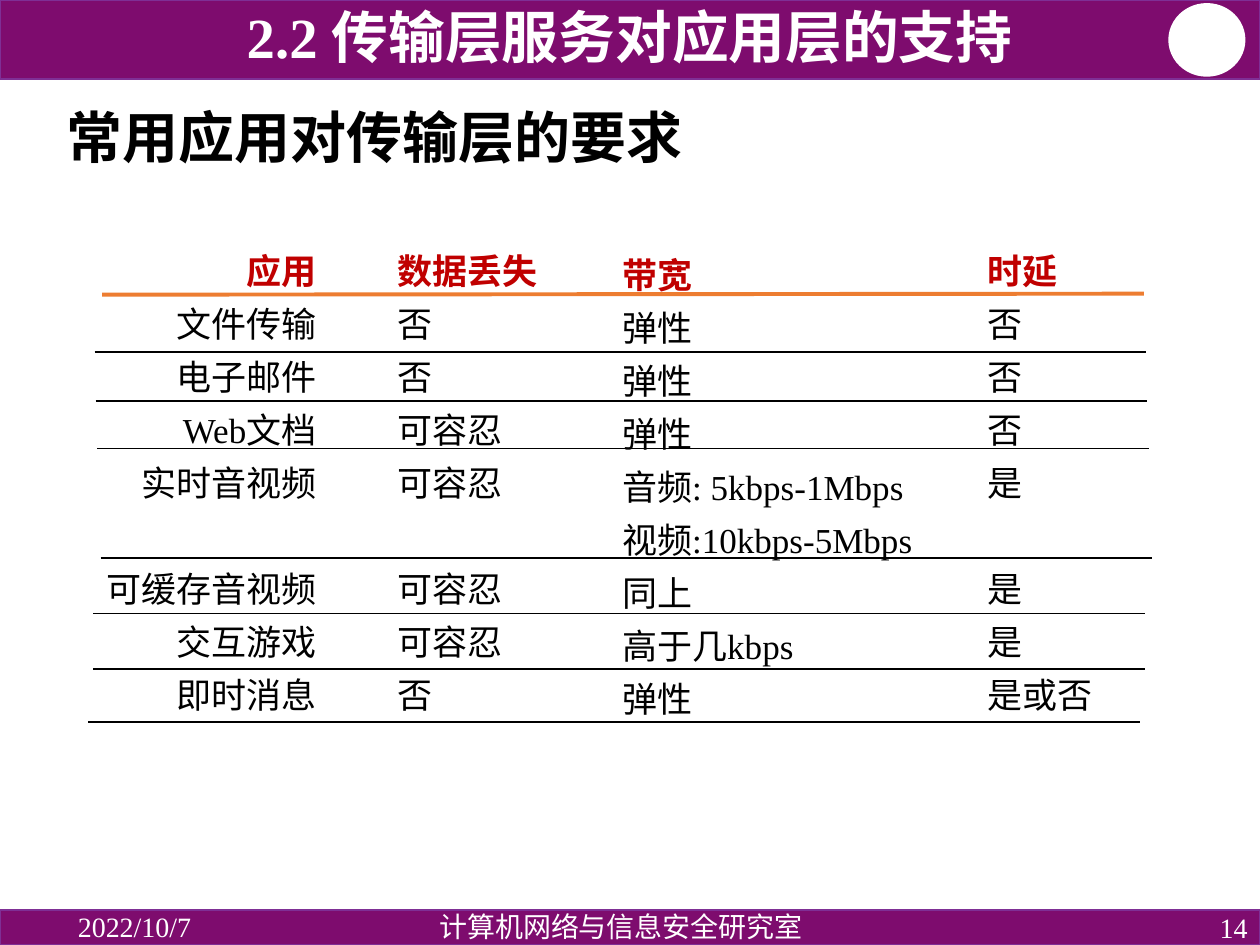
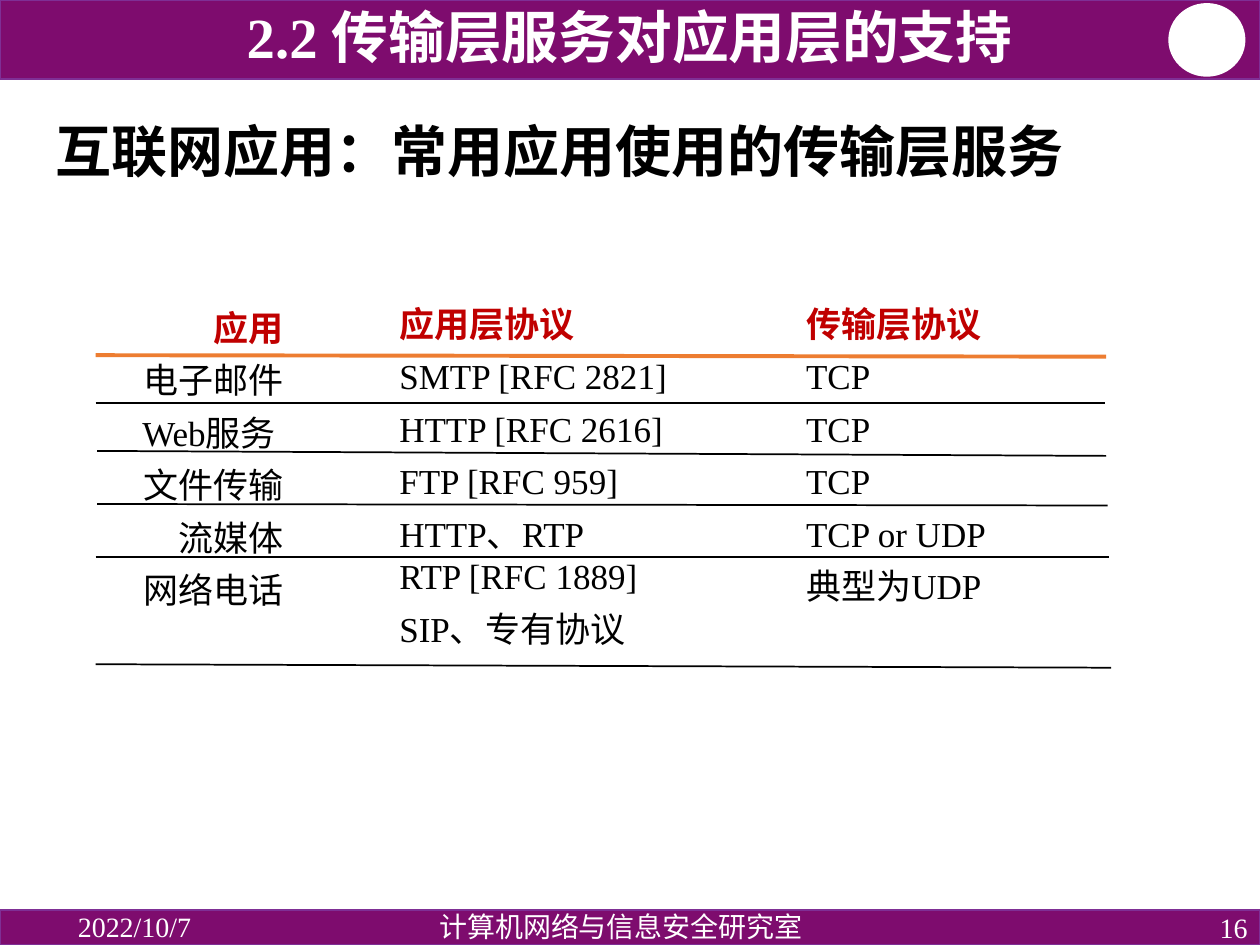
"""Build two slides on what applications ask of the transport layer."""
import dataclasses

import pptx
import pptx.dml.color
import pptx.enum.shapes
import pptx.enum.text
import pptx.oxml
import pptx.util

Cm = pptx.util.Cm
Pt = pptx.util.Pt
Align = pptx.enum.text.PP_ALIGN
Anchor = pptx.enum.text.MSO_ANCHOR
Shape = pptx.enum.shapes.MSO_SHAPE


@dataclasses.dataclass(frozen=True)
class Theme:
    """Hold the colours, fonts and type sizes of the deck."""
    band: str = "7E0C6E"
    edge: str = "7F2F95"
    white: str = "FFFFFF"
    ink: str = "000000"
    head: str = "C00000"
    rule: str = "ED7D31"
    serif: str = "Times New Roman"
    sans: str = "Noto Sans CJK SC"
    plain: str = "Arial"
    top: float = 32.4
    title: float = 32
    body: float = 20
    foot: float = 16
    gap: float = 6
    pitch: float = 30.3


THEME = Theme()


def paint(code):
    """Turn a hex code into a colour."""
    return pptx.dml.color.RGBColor.from_string(code)


def style(para, size, font, color, bold=False, align=Align.LEFT, lead=1.0):
    """Format a paragraph and its runs."""
    para.alignment = align
    para.line_spacing = lead
    for run in para.runs:
        run.font.size = Pt(size)
        run.font.name = font
        run.font.bold = bold
        run.font.color.rgb = paint(color)


def block(slide, kind, box, fill, edge):
    """Draw a filled preset shape."""
    shape = slide.shapes.add_shape(kind, *map(Cm, box))
    shape.shadow.inherit = False
    shape.fill.solid()
    shape.fill.fore_color.rgb = paint(fill)
    shape.line.color.rgb = paint(edge)
    shape.line.width = Pt(1)


def frame(slide, box, anchor=Anchor.TOP):
    """Add a wrapping text box and return its text frame."""
    text = slide.shapes.add_textbox(*map(Cm, box)).text_frame
    text.word_wrap = True
    text.vertical_anchor = anchor
    return text


def label(slide, box, words, size, anchor=Anchor.MIDDLE, **look):
    """Add one line of white serif text."""
    text = frame(slide, box, anchor)
    text.text = words
    style(text.paragraphs[0], size, THEME.serif, THEME.white, **look)


def rule(slide, start, end, color=THEME.ink, width=1):
    """Draw a straight rule between two points."""
    line = slide.shapes.add_connector(
        pptx.enum.shapes.MSO_CONNECTOR.STRAIGHT, *map(Cm, start + end))
    line.line.color.rgb = paint(color)
    line.line.width = Pt(width)
    line._element.spPr.append(pptx.oxml.parse_xml(
        '<a:effectLst xmlns:a='
        '"http://schemas.openxmlformats.org/drawingml/2006/main"/>'))


def column(slide, box, rows, font=THEME.serif, align=Align.LEFT, lead=1.0):
    """Set a red head and its entries; None leaves a row free."""
    text = frame(slide, box)
    space = THEME.gap
    for num, words in enumerate(rows):
        if words is None:
            space += THEME.pitch
            continue
        para = text.add_paragraph() if num else text.paragraphs[0]
        para.text = words
        para.space_before = Pt(space)
        space = THEME.gap
        if num:
            style(para, THEME.body, font, THEME.ink, False, align, lead)
        else:
            style(para, THEME.body, THEME.sans, THEME.head, True, align, lead)


def base(deck, title, box, page):
    """Add a slide with its bands, footer and title."""
    slide = deck.slides.add_slide(deck.slide_layouts[5])
    block(slide, Shape.RECTANGLE, (0, 0, 25.4, 1.6), THEME.band, THEME.edge)
    block(slide, Shape.OVAL, (23.57, 0.08, 1.52, 1.45),
          THEME.white, THEME.white)
    block(slide, Shape.RECTANGLE, (0, 18.34, 25.4, 0.71),
          THEME.band, THEME.edge)
    label(slide, (1.32, 18.34, 5.72, 0.66), "2022/10/7", THEME.foot)
    label(slide, (19.68, 18.34, 5.72, 0.71), page, THEME.foot,
          align=Align.RIGHT)
    label(slide, (6.83, 18.29, 11.38, 0.71), "计算机网络与信息安全研究室",
          THEME.foot, Anchor.TOP, align=Align.CENTER, lead=0.9)
    label(slide, (1.83, 0.1, 21.72, 1.42), "2.2 传输层服务对应用层的支持",
          THEME.top, Anchor.BOTTOM, bold=True, align=Align.CENTER, lead=0.8)
    head = slide.shapes.title
    head.left, head.top, head.width, head.height = map(Cm, box)
    text = head.text_frame
    text.text = title
    text.auto_size = pptx.enum.text.MSO_AUTO_SIZE.NONE
    text.vertical_anchor = Anchor.MIDDLE
    style(text.paragraphs[0], THEME.title, THEME.sans, THEME.ink, True,
          lead=0.9)
    return slide


def needs(deck):
    """Show what common applications need."""
    slide = base(deck, "常用应用对传输层的要求", (1.09, 1.93, 22.71, 1.8), "14")
    lead = 1.01
    column(slide, (1.6, 4.9, 5.03, 9.65),
           ("应用", "文件传输", "电子邮件", "Web文档", "实时音视频", None,
            "可缓存音视频", "交互游戏", "即时消息"),
           align=Align.RIGHT, lead=lead)
    column(slide, (7.77, 4.9, 3.6, 10),
           ("数据丢失", "否", "否", "可容忍", "可容忍", None,
            "可容忍", "可容忍", "否"), THEME.plain, lead=lead)
    column(slide, (12.29, 4.98, 7.16, 9.98),
           ("带宽", "弹性", "弹性", "弹性", "音频: 5kbps-1Mbps",
            "视频:10kbps-5Mbps", "同上", "高于几kbps", "弹性"), lead=lead)
    column(slide, (19.66, 4.9, 3.4, 9.68),
           ("时延", "否", "否", "否", "是", None, "是", "是", "是或否"),
           THEME.plain, lead=lead)
    rule(slide, (2.06, 5.94), (23.06, 5.92), THEME.rule, 2.25)
    for left, top in ((1.91, 7.09), (1.93, 8.08), (1.96, 9.04),
                      (2.03, 11.25), (1.88, 12.37), (1.88, 13.49),
                      (1.78, 14.55)):
        rule(slide, (left, top), (left + 21.2, top))


def served(deck):
    """Show which protocols common applications use."""
    slide = base(deck, "互联网应用：常用应用使用的传输层服务",
                 (0.86, 2.31, 23.93, 1.6), "16")
    column(slide, (1.96, 6.05, 4.01, 7.44),
           ("应用", "电子邮件", "Web服务 ", "文件传输", "流媒体", "网络电话"),
           align=Align.RIGHT)
    column(slide, (7.8, 5.97, 6.3, 7.32),
           ("应用层协议", "SMTP [RFC 2821]", "HTTP [RFC 2616]",
            "FTP [RFC 959]", "HTTP、RTP\vRTP [RFC 1889]", "SIP、专有协议"))
    column(slide, (16, 5.97, 7.29, 6.45),
           ("传输层协议", "TCP", "TCP", "TCP", "TCP or UDP", "典型为UDP"))
    rule(slide, (1.93, 7.16), (22.3, 7.19), THEME.rule, 2.25)
    for start, end in (((1.93, 8.13), (22.28, 8.13)),
                       ((1.96, 9.09), (22.3, 9.19)),
                       ((1.96, 10.16), (22.33, 10.19)),
                       ((1.93, 11.23), (22.35, 11.23)),
                       ((1.93, 13.39), (22.4, 13.46))):
        rule(slide, start, end)


def main():
    """Build and save the deck."""
    deck = pptx.Presentation()
    deck.slide_width, deck.slide_height = Cm(25.4), Cm(19.05)
    needs(deck)
    served(deck)
    deck.save("out.pptx")


main()
